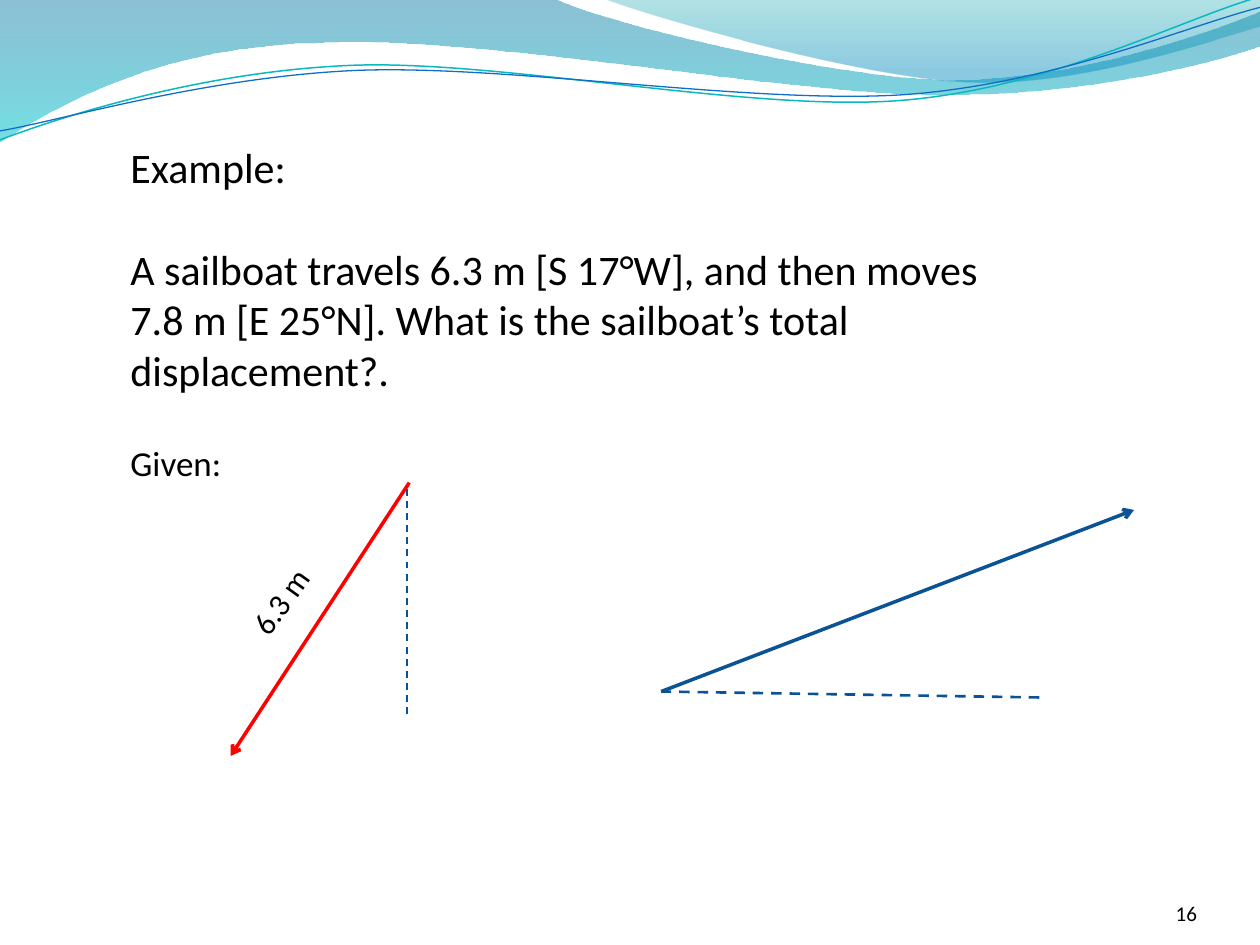
from pptx import Presentation
from pptx.dml.color import RGBColor
from pptx.enum.dml import MSO_LINE
from pptx.enum.shapes import MSO_CONNECTOR
from pptx.enum.text import MSO_ANCHOR, MSO_AUTO_SIZE, PP_ALIGN
from pptx.oxml.ns import qn
from pptx.util import Cm, Pt
from lxml.etree import SubElement

BAND = [
    [(0, -0.03)], [(11.18, -0.03)],
    [(12.09, 0.43), (16.87, 1.6), (19.25, 1.6)],
    [(21.67, 1.6), (24.33, 0.66), (25.4, 0.23)],
    [(25.43, 0.91)],
    [(24.97, 1.12), (22.1, 1.93), (18.95, 1.91)],
    [(15.8, 1.91), (9.7, 0.71), (6.53, 0.86)],
    [(3.28, 0.89), (1.17, 2.11), (-0.03, 2.87)],
]
CREST = [
    [(12.17, -0.03)],
    [(12.93, 0.28), (17.32, 1.57), (19.53, 1.65)],
    [(21.74, 1.75), (24.41, 0.81), (25.4, 0.53)],
    [(25.4, 0)],
]
TEAL = [
    [(0, 2.82)],
    [(1.22, 2.36), (4.01, 1.45), (7.04, 1.32)],
    [(10.03, 1.19), (15.06, 2.26), (18.11, 2.03)],
    [(21.16, 1.8), (23.83, 0.38), (25.35, -0.05)],
]
BLUE = [
    [(0, 2.64)],
    [(1.19, 2.44), (4.17, 1.55), (7.19, 1.42)],
    [(10.24, 1.3), (15.16, 2.11), (18.21, 1.91)],
    [(21.23, 1.7), (23.9, 0.53), (25.4, 0.15)],
]


def paint(color, code):
    color.rgb = RGBColor.from_string(code)


def outline(slide, left, top, route, close):
    dots = [(Cm(left + x), Cm(top + y)) for part in route for x, y in part]
    build = slide.shapes.build_freeform(*dots[0], scale=1.0)
    build.add_line_segments(dots[1:], close=close)
    shape = build.convert_to_shape()
    shape.shadow.inherit = False
    nodes = iter(list(shape._element.iter(qn("a:lnTo"))))
    for part in route[1:]:
        first, *rest = [next(nodes) for point in part]
        if rest:
            first.tag = qn("a:cubicBezTo")
        for node in rest:
            first.append(node[0])
            node.getparent().remove(node)
    return shape


def add_fill(slide, left, top, route, stops):
    shape = outline(slide, left, top, route, True)
    shape.line.fill.background()
    shape.fill.gradient()
    shape.fill.gradient_angle = 270
    for stop, (place, code, alpha) in zip(shape.fill.gradient_stops, stops):
        stop.position = place
        paint(stop.color, code)
    tints = shape._element.spPr.iter(qn("a:srgbClr"))
    for tint, (place, code, alpha) in zip(tints, stops):
        SubElement(tint, qn("a:alpha")).set("val", str(alpha * 1000))


def add_wave(slide, left, top, route, code, width):
    shape = outline(slide, left, top, route, False)
    shape.fill.background()
    paint(shape.line.color, code)
    shape.line.width = Pt(width)


def add_line(slide, start, end, code, width, dash=False):
    line = slide.shapes.add_connector(
        MSO_CONNECTOR.STRAIGHT, *[Cm(n) for n in (*start, *end)])
    paint(line.line.color, code)
    line.line.width = Pt(width)
    frame = line._element.spPr
    if dash:
        line.line.dash_style = MSO_LINE.DASH
    else:
        SubElement(frame.find(qn("a:ln")), qn("a:tailEnd")).set("type", "arrow")
    SubElement(frame, qn("a:effectLst"))


def add_text(slide, box, rows):
    shape = slide.shapes.add_textbox(*[Cm(n) for n in box])
    frame = shape.text_frame
    frame.word_wrap = True
    for index, (text, size, gap) in enumerate(rows):
        para = frame.paragraphs[0] if index == 0 else frame.add_paragraph()
        para.text = text
        para.font.name = "Calibri"
        para.font.size = Pt(size)
        paint(para.font.color, "000000")
        if gap:
            para.space_before = Pt(gap)
    return shape


def add_header(slide, left, top):
    add_fill(slide, left, top, BAND,
             [(0, "0074A1", 45), (1, "00C6CF", 55)])
    add_fill(slide, left, top, CREST,
             [(0, "00A1A9", 30), (0.8, "008BBF", 45)])
    add_wave(slide, left, top, TEAL, "0AB8BF", 0.85)
    add_wave(slide, left, top, BLUE, "0F6FC6", 0.75)


def add_task(slide, left, top):
    add_text(slide, (left, top, 18.57, 8.71), [
        ("Example:", 24, 0),
        ("A sailboat travels 6.3 m [S 17°W], and then moves 7.8 m [E 25°N]. "
         "What is the sailboat’s total displacement?.", 24, 29.3),
        ("Given:", 20, 26.6),
    ])


def add_south(slide, left, top):
    add_line(slide, (left + 3.6, top + 4.67), (left + 3.6, top + 0.02),
             "095295", 1, dash=True)
    add_line(slide, (left + 3.65, top), (left + 0.05, top + 5.51), "FF0000", 2)
    label = add_text(slide, (left - 0.01, top + 1.72, 2.34, 1.02),
                     [("6.3 m", 18, 0)])
    label.text_frame.auto_size = MSO_AUTO_SIZE.SHAPE_TO_FIT_TEXT
    label.rotation = 305.7


def add_east(slide, left, top):
    start = (left, top + 3.66)
    add_line(slide, (left + 7.62, top + 3.78), start, "095295", 1.5, dash=True)
    add_line(slide, start, (left + 9.53, top), "0B5394", 2)


def add_number(slide, left, top):
    frame = add_text(slide, (left, top, 2.11, 1.02), [("16", 12, 0)]).text_frame
    frame.margin_left = frame.margin_right = 0
    frame.margin_top = frame.margin_bottom = 0
    frame.vertical_anchor = MSO_ANCHOR.BOTTOM
    frame.paragraphs[0].alignment = PP_ALIGN.RIGHT


def main():
    deck = Presentation()
    deck.slide_width, deck.slide_height = Cm(25.4), Cm(19.05)
    slide = deck.slides.add_slide(deck.slide_layouts[6])
    add_header(slide, 0, 0)
    add_number(slide, 22.02, 17.65)
    add_task(slide, 2.38, 2.73)
    add_south(slide, 4.6, 9.73)
    add_east(slide, 13.33, 10.28)
    deck.save("out.pptx")


if __name__ == "__main__":
    main()
